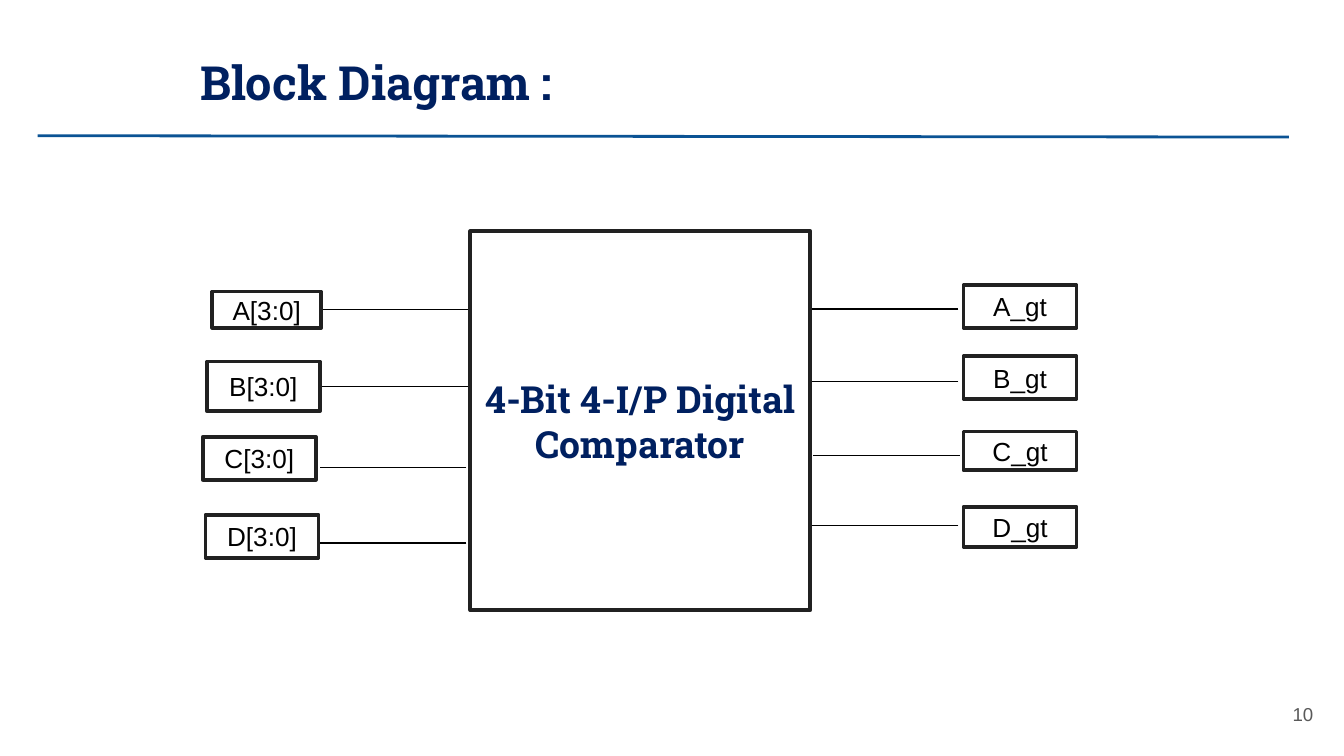
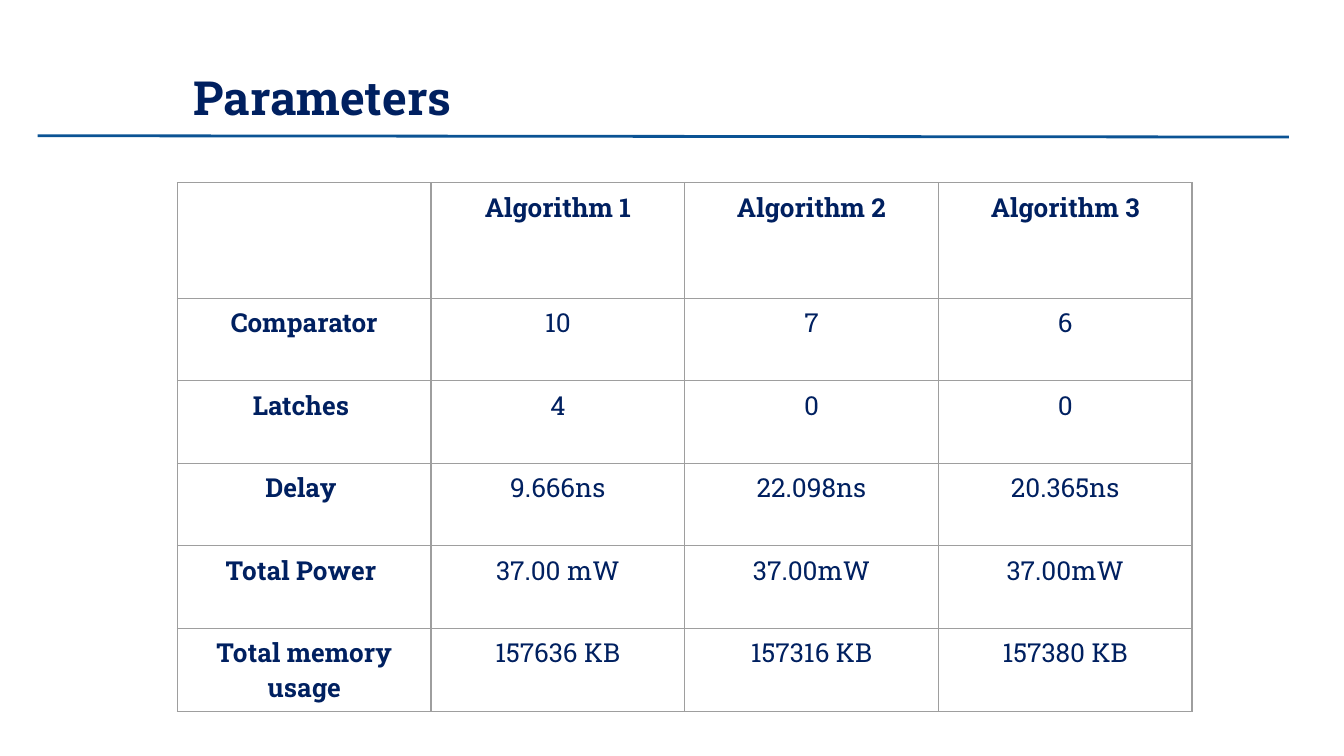
import dataclasses

import lxml.etree
import pptx
import pptx.dml.color
import pptx.enum.shapes
import pptx.enum.text
import pptx.oxml.ns
import pptx.util

Inches = pptx.util.Inches
Pt = pptx.util.Pt
Align = pptx.enum.text.PP_ALIGN
Anchor = pptx.enum.text.MSO_ANCHOR
qn = pptx.oxml.ns.qn


@dataclasses.dataclass(frozen=True)
class Theme:
    """Hold the colours, fonts and type sizes."""
    navy: str = "002060"
    blue: str = "0B5394"
    white: str = "FFFFFF"
    black: str = "000000"
    edge: str = "212121"
    grid: str = "9E9E9E"
    grey: str = "595959"
    slab: str = "Roboto Slab"
    sans: str = "Arial"
    head: float = 25.2
    large: int = 20
    text: int = 14
    small: int = 10


THEME = Theme()

INPUTS = [
    ("A[3:0]", (1.58, 2.17, 0.81, 0.27), (3.48, 2.39, 2.31), True),
    ("B[3:0]", (1.54, 2.69, 0.84, 0.37), (3.48, 2.39, 2.87), True),
    ("C[3:0]", (1.51, 3.25, 0.84, 0.32), (3.47, 2.38, 3.48), False),
    ("D[3:0]", (1.53, 3.83, 0.84, 0.32), (3.47, 2.38, 4.04), False),
]
OUTPUTS = [
    ("A_gt", (7.17, 2.12, 0.84, 0.32), (7.13, 6.04, 2.3), False),
    ("B_gt", (7.17, 2.65, 0.84, 0.32), (7.13, 6.04, 2.84), False),
    ("C_gt", (7.17, 3.21, 0.84, 0.29), (7.14, 6.05, 3.39), False),
    ("D_gt", (7.17, 3.77, 0.84, 0.3), (7.13, 6.04, 3.91), False),
]
ROWS = [
    ("", "Algorithm 1", "Algorithm 2", "Algorithm 3"),
    ("Comparator", "10", "7", "6"),
    ("Latches ", "4", "0", "0"),
    ("Delay ", "9.666ns", "22.098ns", "20.365ns"),
    ("Total Power ", "37.00 mW", "37.00mW", "37.00mW"),
    ("Total memory\nusage", "157636 KB", "157316 KB", "157380 KB"),
]


def tint(code):
    """Turn a hex code into a colour."""
    return pptx.dml.color.RGBColor.from_string(code)


def write(frame, text, size=THEME.text, font=THEME.slab, color=THEME.navy,
          bold=False, align=Align.CENTER):
    """Fill a text frame, one paragraph to each line of text."""
    frame.text = text
    for para in frame.paragraphs:
        para.alignment = align
        for run in para.runs:
            run.font.name = font
            run.font.size = Pt(size)
            run.font.bold = bold
            run.font.color.rgb = tint(color)


def fit(frame, anchor, inset=0.1):
    """Set wrapping, anchor and even insets of a text frame."""
    frame.word_wrap = True
    frame.auto_size = pptx.enum.text.MSO_AUTO_SIZE.NONE
    frame.vertical_anchor = anchor
    frame.margin_left = frame.margin_right = Inches(inset)
    frame.margin_top = frame.margin_bottom = Inches(inset)


def wire(slide, start, end, color=THEME.black, width=0.75):
    """Draw a straight line without shadow."""
    line = slide.shapes.add_connector(
        pptx.enum.shapes.MSO_CONNECTOR.STRAIGHT,
        *(Inches(n) for n in (*start, *end)))
    line.line.color.rgb = tint(color)
    line.line.width = Pt(width)
    lxml.etree.SubElement(line._element.spPr, qn("a:effectLst"))
    return line


def box(slide, area, text, **style):
    """Draw an outlined white box with centred text."""
    shape = slide.shapes.add_shape(
        pptx.enum.shapes.MSO_SHAPE.RECTANGLE, *(Inches(n) for n in area))
    shape.shadow.inherit = False
    shape.fill.solid()
    shape.fill.fore_color.rgb = tint(THEME.white)
    shape.line.color.rgb = tint(THEME.edge)
    shape.line.width = Pt(2)
    shape.text_frame.word_wrap = True
    shape.text_frame.vertical_anchor = Anchor.MIDDLE
    write(shape.text_frame, text, **style)
    return shape


def port(slide, name, area, span, joined):
    """Draw a signal box and its wire to the block."""
    inner, outer, y = span
    line = wire(slide, (inner, y), (outer, y))
    shape = box(slide, area, name, font=THEME.sans, color=THEME.black)
    if joined:
        line.end_connect(shape, 3)
        line.begin_y = line.end_y


def page(deck, title, area):
    """Add a slide with its title and rule."""
    slide = deck.slides.add_slide(deck.slide_layouts[5])
    wire(slide, (9.59, 1.02), (0.28, 1.01), THEME.blue, 1.5)
    head = slide.shapes.title
    head.left, head.top, head.width, head.height = (Inches(n) for n in area)
    fit(head.text_frame, Anchor.TOP)
    write(head.text_frame, title, size=THEME.head, bold=True, align=Align.LEFT)
    return slide


def number(slide, text):
    """Add the page number."""
    note = slide.shapes.add_textbox(
        Inches(9.27), Inches(5.1), Inches(0.6), Inches(0.43))
    fit(note.text_frame, Anchor.MIDDLE)
    write(note.text_frame, text, size=THEME.small, font=THEME.sans,
          color=THEME.grey, align=Align.RIGHT)


def frame_cell(cell):
    """Give a cell thin borders and no fill."""
    props = cell._tc.get_or_add_tcPr()
    for side in ("lnL", "lnR", "lnT", "lnB"):
        edge = lxml.etree.SubElement(
            props, qn(f"a:{side}"), w=str(Pt(0.75)))
        fill = lxml.etree.SubElement(edge, qn("a:solidFill"))
        lxml.etree.SubElement(fill, qn("a:srgbClr"), val=THEME.grid)
    cell.fill.background()


def grid(slide, rows, area, first):
    """Add a table with a taller first row and equal rows below."""
    table = slide.shapes.add_table(
        len(rows), len(rows[0]), *(Inches(n) for n in area)).table
    table.first_row = table.horz_banding = False
    rest = (area[3] - first) / (len(rows) - 1)
    for r, row in enumerate(rows):
        table.rows[r].height = Inches(rest if r else first)
        for c, text in enumerate(row):
            cell = table.cell(r, c)
            frame_cell(cell)
            write(cell.text_frame, text, bold=r == 0 or c == 0)


def main():
    """Build the two slides and save them."""
    deck = pptx.Presentation()
    deck.slide_width = Inches(10)
    deck.slide_height = deck.slide_width * 9 // 16

    slide = page(deck, "Block Diagram :", (1.39, 0.3, 8.3, 0.63))
    number(slide, "10")
    box(slide, (3.5, 1.72, 2.53, 2.82), "4-Bit 4-I/P Digital Comparator",
        size=THEME.large, bold=True)
    for signal in INPUTS + OUTPUTS:
        port(slide, *signal)

    slide = page(deck, "Parameters", (1.34, 0.41, 9.32, 0.63))
    grid(slide, ROWS, (1.32, 1.36, 7.55, 3.93), 0.86)
    deck.save("out.pptx")


if __name__ == "__main__":
    main()
